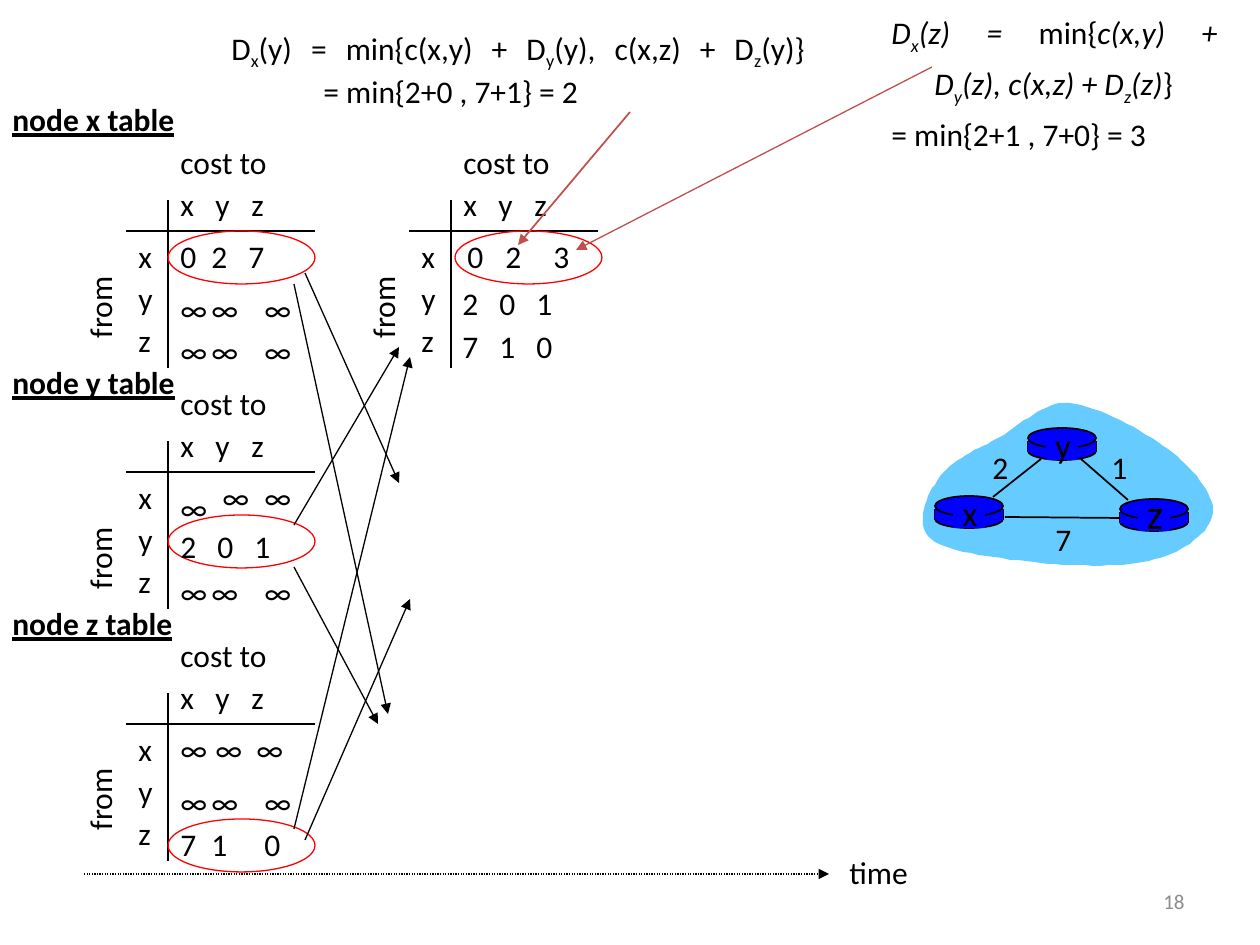
from dataclasses import dataclass
from typing import Any

from lxml.etree import SubElement as Sub
from pptx import Presentation as Deck
from pptx.dml.color import RGBColor as Rgb
from pptx.enum.dml import MSO_LINE as Dash
from pptx.enum.shapes import MSO_CONNECTOR as Conn, MSO_SHAPE as Kind
from pptx.enum.text import MSO_ANCHOR as Anchor, MSO_AUTO_SIZE as Auto, PP_ALIGN as Align
from pptx.oxml.ns import qn
from pptx.util import Emu, Pt

SCALE = 914400 / 126
BLACK = Rgb(0, 0, 0)
GREY = Rgb(0x8C, 0x8C, 0x8C)
RED = Rgb(0xFF, 0, 0)
BRICK = Rgb(0xC0, 0x50, 0x4D)
BLUE = Rgb(0, 0, 0xFF)
SKY = Rgb(0x66, 0xCC, 0xFF)
WIDE = {"x": 44, "y": 42, "z": 43, "∞": 52, "1": 39}
HEAD = (35, 71)
COST = (37, 74)


@dataclass
class Label:
    text: str
    x: int
    y: int
    w: int
    h: int = 50
    size: int = 18
    color: Rgb = BLACK
    align: Any = Align.LEFT
    bold: bool = False
    turn: int = 0
    wrap: bool = False
    tabs: tuple = ()


@dataclass
class Table:
    x: int
    y: int
    side: int
    ring: tuple


@dataclass
class Node:
    name: str
    x: int
    y: int
    size: int
    rise: int


@dataclass
class Line:
    x1: int
    y1: int
    x2: int
    y2: int
    color: Rgb = BLACK
    width: float = 0.75
    arrow: bool = False
    dash: Any = None


def px(n: float) -> Emu:
    return Emu(round(n * SCALE))


def put(item: Any, vals: dict) -> None:
    for key, val in vals.items():
        setattr(item, key, val)


def style(run: Any, size: int = 18, color: Rgb = BLACK, **more: Any) -> None:
    put(run.font, {"name": "Calibri", "size": Pt(size), **more})
    run.font.color.rgb = color


def frame(host: Any, x: int, y: int, w: int, h: int, **vals: Any) -> Any:
    box = host.add_textbox(*map(px, (x, y, w, h)))
    put(box.text_frame, {"word_wrap": False, "auto_size": Auto.SHAPE_TO_FIT_TEXT, **vals})
    return box


def write(host: Any, lab: Label) -> None:
    box = frame(host, lab.x, lab.y, lab.w, lab.h, word_wrap=lab.wrap or bool(lab.tabs))
    box.rotation = lab.turn
    for i, text in enumerate(lab.text.split("\n")):
        body = box.text_frame
        par = body.add_paragraph() if i else body.paragraphs[0]
        par.alignment = lab.align
        if lab.tabs:
            stops = Sub(par._p.get_or_add_pPr(), qn("a:tabLst"))
            for pos in lab.tabs:
                Sub(stops, qn("a:tab"), pos=str(px(pos)), algn="l")
        run = par.add_run()
        run.text = text
        style(run, lab.size, lab.color, bold=lab.bold, underline=lab.bold)


def cell(host: Any, text: str, x: int, y: int) -> None:
    write(host, Label(text, x, y, WIDE.get(text, 44)))


def draw(host: Any, seg: Line) -> None:
    link = host.add_connector(Conn.STRAIGHT, *map(px, (seg.x1, seg.y1, seg.x2, seg.y2)))
    link.line.color.rgb = seg.color
    put(link.line, {"width": Pt(seg.width), "dash_style": seg.dash})
    if seg.arrow:
        Sub(link.line._get_or_add_ln(), qn("a:tailEnd"), type="triangle")
    Sub(link._element.spPr, qn("a:effectLst"))


def shape(host: Any, kind: Any, x: int, y: int, w: int, h: int,
          fill: Any = None, edge: Any = None, width: float = 1) -> None:
    paint(host.add_shape(kind, *map(px, (x, y, w, h))), fill, edge, width)


def paint(form: Any, fill: Any, edge: Any, width: float = 1) -> None:
    form.shadow.inherit = False
    for part, color in ((form.fill, fill), (form.line.fill, edge)):
        if color is None:
            part.background()
        else:
            part.solid()
            part.fore_color.rgb = color
    if edge is not None:
        form.line.width = Pt(width)


def grid(host: Any, tab: Table) -> None:
    x, y = tab.x, tab.y
    draw(host, Line(x + 42, y + 63, x + 42, y + 231))
    draw(host, Line(x, y + 94, x + 189, y + 94))
    write(host, Label("cost to", x + 42, y, 130))
    write(host, Label("x\ty\tz", x + 42, y + 42, 134, tabs=HEAD))
    for i, name in enumerate("xyz"):
        cell(host, name, x, y + 94 + 42 * i)
    write(host, Label("from", x - 75, y + tab.side - 25, 97, turn=270))
    shape(host, Kind.OVAL, *tab.ring, 147, 53, edge=RED, width=0.75)


def router(host: Any, node: Node) -> None:
    x, y = node.x, node.y
    shape(host, Kind.OVAL, x, y + 14, 68, 18, BLUE, BLACK)
    for side in (x, x + 68):
        draw(host, Line(side, y + 13, side, y + 24, width=1))
    shape(host, Kind.RECTANGLE, x, y + 13, 68, 11, BLUE)
    shape(host, Kind.OVAL, x, y, 68, 20, BLUE, BLACK)
    shape(host, Kind.RECTANGLE, x + 18, y + 3, 32, 29, BLUE)
    write(host, Label(node.name, x + 12, y - node.rise, 46, 54, node.size, align=Align.CENTER))


def cloud(host: Any, start: tuple, curves: list) -> None:
    dots, last = [], start
    for a, b, end in curves:
        for i in range(1, 17):
            t = i / 16
            dots.append(tuple((1 - t) ** 3 * p + 3 * t * (1 - t) ** 2 * q + 3 * t * t * (1 - t) * r + t ** 3 * s
                              for p, q, r, s in zip(last, a, b, end)))
        last = end
    pen = host.build_freeform(*start, scale=SCALE)
    pen.add_line_segments(dots, close=True)
    paint(pen.convert_to_shape(), SKY, None)


def maths(par: Any, text: str, slant: bool = False) -> None:
    first, *rest = text.split("_")
    parts = [(first, False)]
    for bit in rest:
        parts += [(bit[0], True), (bit[1:], False)]
    for bit, low in parts:
        run = par.add_run()
        run.text = bit
        style(run, italic=slant)
        if low:
            run._r.get_or_add_rPr().set("baseline", "-25000")


def setup(par: Any, hang: int, space: float = 1.0) -> Any:
    put(par, {"alignment": Align.JUSTIFY, "line_spacing": space})
    props = par._p.get_or_add_pPr()
    props.set("marL", str(px(hang)))
    props.set("indent", str(-px(hang)))
    return par


def main() -> None:
    deck = Deck()
    put(deck, {"slide_width": px(1260), "slide_height": px(945)})
    host = deck.slides.add_slide(deck.slide_layouts[6]).shapes

    for tab in (Table(126, 137, 165, (168, 231)), Table(409, 137, 165, (455, 231)),
                Table(126, 378, 175, (168, 515)), Table(126, 630, 164, (168, 819))):
        grid(host, tab)
    for text, y, xs in (("∞", 284, (168, 199, 252)), ("∞", 326, (168, 199, 252)),
                        ("∞", 472, (210, 252)), ("∞", 567, (168, 199, 252)),
                        ("∞", 777, (168, 199, 252)), ("710", 819, (168, 199, 252)),
                        ("023", 231, (455, 493, 541))):
        for sign, x in zip(text * len(xs), xs):
            cell(host, sign, x, y)
    for text, x, y, h, tabs in (("0\t2\t7", 168, 231, 50, (31, 68)),
                                ("∞\n2\t0\t1", 168, 483, 88, COST),
                                ("∞\t∞\t∞", 168, 724, 50, (35, 76)),
                                ("2\t0\t1", 450, 278, 50, COST),
                                ("7\t1\t0", 450, 321, 50, COST)):
        write(host, Label(text, x, y, 136, h, tabs=tabs))
    for name, y in (("x", 94), ("y", 357), ("z", 598)):
        write(host, Label(f"node {name} table", 0, y, 217, bold=True))

    for ends in ((305, 273, 399, 483), (294, 284, 388, 714), (294, 525, 399, 347),
                 (294, 567, 378, 724), (294, 829, 410, 357), (305, 840, 410, 599)):
        draw(host, Line(*ends, arrow=True))
    draw(host, Line(84, 874, 829, 874, arrow=True, dash=Dash.ROUND_DOT))
    write(host, Label("time", 837, 847, 91))

    net = host.add_group_shape().shapes
    cloud(net, (939, 478), [((950, 460), (979, 449), (1000, 437)), ((1022, 425), (1042, 401), (1070, 403)),
                            ((1097, 406), (1144, 431), (1168, 449)), ((1192, 467), (1215, 494), (1213, 513)),
                            ((1211, 532), (1184, 552), (1155, 559)), ((1126, 568), (1077, 566), (1041, 563)),
                            ((1003, 559), (948, 553), (931, 539)), ((914, 524), (927, 494), (939, 478))])
    for ends in ((993, 497, 1041, 459), (1081, 459, 1128, 500), (1005, 517, 1123, 518)):
        draw(net, Line(*ends, width=1))
    for node in (Node("x", 935, 496, 20, 11), Node("z", 1120, 499, 24, 18), Node("y", 1028, 428, 20, 11)):
        router(net, node)
    for text, x, y in (("1", 1099, 442), ("2", 980, 442), ("7", 1043, 514)):
        cell(net, text, x, y)

    near = frame(host, 219, 25, 617, 88, vertical_anchor=Anchor.MIDDLE).text_frame.paragraphs[0]
    setup(near, 92)
    maths(near, "D_x(y) = min{c(x,y) + D_y(y), c(x,z) + D_z(y)} ")
    near.add_line_break()
    maths(near, "= min{2+0 , 7+1} = 2")
    far = frame(host, 879, 4, 387, 149, vertical_anchor=Anchor.MIDDLE).text_frame
    top = setup(far.paragraphs[0], 43, 1.2)
    maths(top, "D_x(z) = ", True)
    maths(top, "min{")
    maths(top, "c(x,y) + ", True)
    top.add_line_break()
    maths(top, "D_y(z), c(x,z) + D_z(z)", True)
    maths(top, "} ")
    maths(setup(far.add_paragraph(), 0, 1.2), "= min{2+1 , 7+0} = 3")
    draw(host, Line(630, 112, 518, 245, BRICK, 1, True))
    draw(host, Line(932, 67, 576, 250, BRICK, arrow=True))
    write(host, Label("18", 903, 882, 294, 38, 12, GREY, Align.RIGHT, wrap=True))
    deck.save("out.pptx")


if __name__ == "__main__":
    main()
